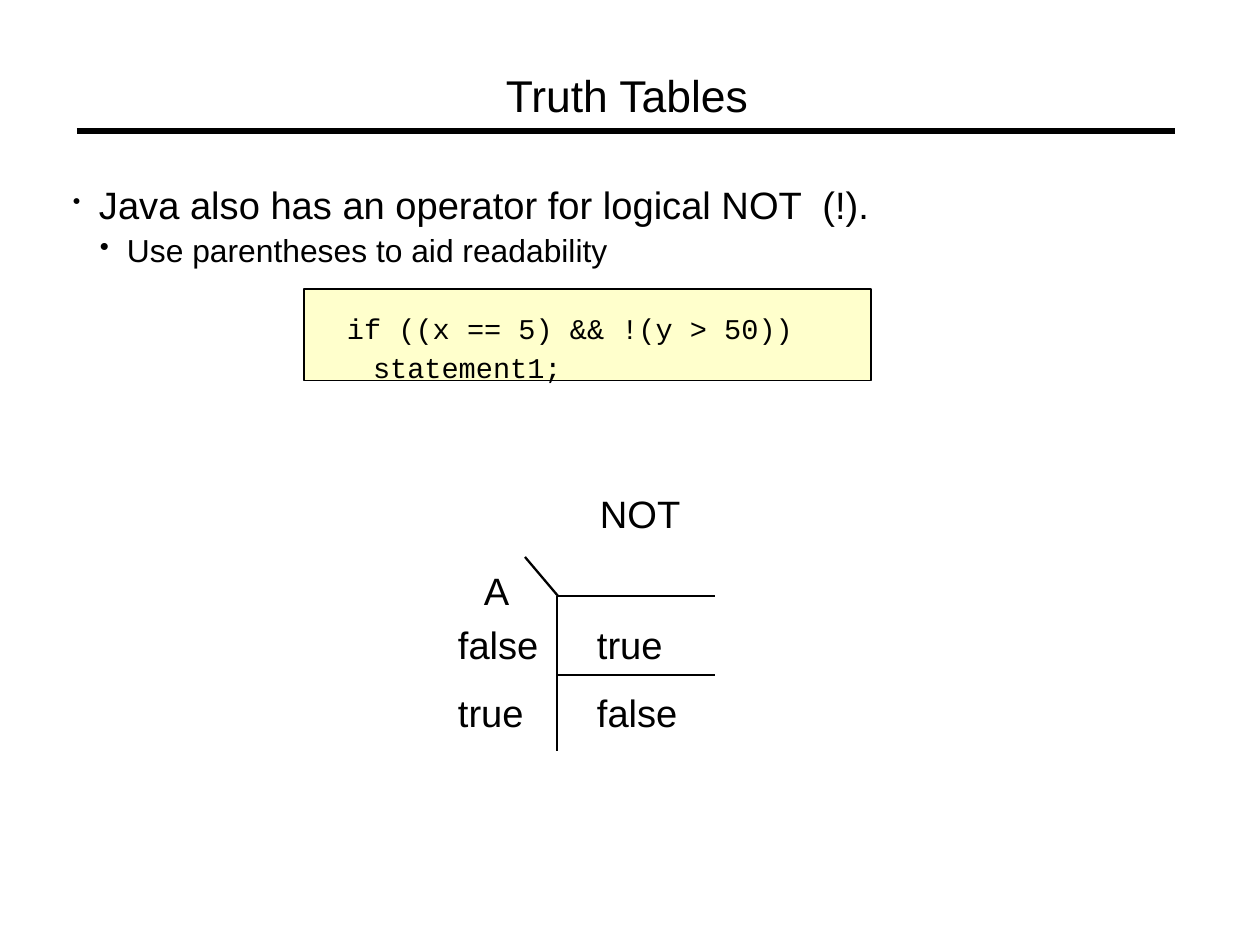
"""Build the Truth Tables slide with a code sample and a NOT table."""
from lxml import etree
from pptx import Presentation
from pptx import util as u
from pptx.dml.color import RGBColor
from pptx.enum import shapes, text
from pptx.oxml import ns

PX = 8000
BLACK = RGBColor(0x00, 0x00, 0x00)
CREAM = RGBColor(0xFF, 0xFF, 0xCC)

prs = Presentation()
prs.slide_width = 1260 * PX
prs.slide_height = 945 * PX
s = prs.slides.add_slide(prs.slide_layouts[6])


def add_text(x, y, w, h, lines, font="Arial"):
    """Add a text box of (words, size, margin, hanging, bullet size) lines."""
    tf = s.shapes.add_textbox(x * PX, y * PX, w * PX, h * PX).text_frame
    tf.margin_left = tf.margin_top = tf.margin_right = tf.margin_bottom = 0
    tf.word_wrap = True
    tf.vertical_anchor = text.MSO_ANCHOR.TOP
    for i, (words, size, margin, hanging, bullet) in enumerate(lines):
        p = tf.add_paragraph() if i else tf.paragraphs[0]
        pPr = p._p.get_or_add_pPr()
        pPr.set("marL", str(margin * PX))
        pPr.set("indent", str(-hanging * PX))
        if bullet:
            p.level = i
            color = etree.SubElement(pPr, ns.qn("a:buClr"))
            etree.SubElement(color, ns.qn("a:srgbClr"), val=str(BLACK))
            etree.SubElement(pPr, ns.qn("a:buSzPct"), val=str(bullet * 1000))
            etree.SubElement(pPr, ns.qn("a:buChar"), char="•")
        if i:
            p.space_before = u.Pt(2.8)
        r = p.add_run()
        r.text = words
        r.font.name = font
        r.font.size = u.Pt(size)
        r.font.color.rgb = BLACK


def add_line(x1, y1, x2, y2, width):
    """Draw a straight black line."""
    line = s.shapes.add_connector(
        shapes.MSO_CONNECTOR.STRAIGHT, x1 * PX, y1 * PX, x2 * PX, y2 * PX)
    line.line.color.rgb = BLACK
    line.line.width = u.Pt(width)
    etree.SubElement(line._element.spPr, ns.qn("a:effectLst"))


add_line(77, 131, 1175, 131, 4.31)
add_text(506, 68, 260, 54, [("Truth Tables", 28, 0, 0, 0)])
add_text(73, 181, 1084, 84, [
    ("Java also has an operator for logical NOT  (!).", 24, 26, 26, 59),
    ("Use parentheses to aid readability", 20, 54, 27, 85),
])

code_box = s.shapes.add_shape(
    shapes.MSO_SHAPE.RECTANGLE, 304 * PX, 289 * PX, 567 * PX, 92 * PX)
code_box.shadow.inherit = False
code_box.fill.solid()
code_box.fill.fore_color.rgb = CREAM
code_box.line.color.rgb = BLACK
code_box.line.width = u.Pt(0.75)
add_text(347, 311, 527, 69, [
    ("if ((x == 5) && !(y > 50))", 18, 0, 0, 0),
    ("statement1;", 18, 26, 0, 0),
], "Courier New")

for label, x, y in [
    ("NOT", 600, 490), ("A", 484, 567),
    ("false", 458, 621), ("true", 597, 621),
    ("true", 458, 689), ("false", 597, 689),
]:
    add_text(x, y, 90, 44, [(label, 24, 0, 0, 0)])

for ends in [
    (557, 596, 715, 596), (557, 675, 715, 675),
    (557, 596, 557, 751), (558, 596, 525, 557),
]:
    add_line(*ends, 1.45)

prs.save("out.pptx")
